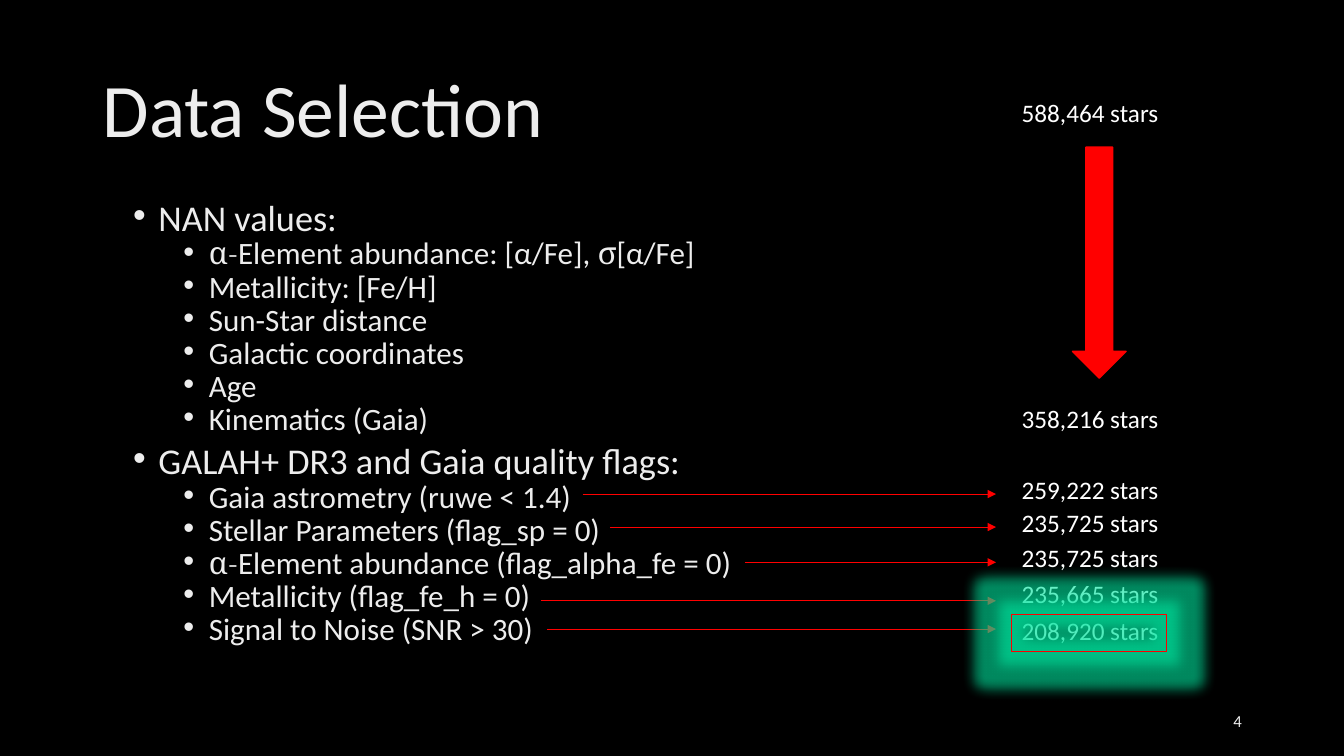
"""Build the Data Selection slide with its star counts after each cut."""
from lxml.etree import SubElement
from pptx import Presentation
from pptx.dml.color import RGBColor
from pptx.enum.shapes import MSO_CONNECTOR, MSO_SHAPE
from pptx.enum.text import MSO_ANCHOR, MSO_AUTO_SIZE, PP_ALIGN
from pptx.oxml.ns import qn
from pptx.util import Cm, Pt

BLACK = RGBColor(0x00, 0x00, 0x00)
WHITE = RGBColor(0xFF, 0xFF, 0xFF)
PALE = RGBColor(0xED, 0xED, 0xED)
RED = RGBColor(0xFF, 0x00, 0x00)
GREEN = RGBColor(0x00, 0xE6, 0xA0)


def write(para, text, size=18, color=WHITE, font="Calibri", align=PP_ALIGN.LEFT):
    run = para.add_run()
    run.text = text
    run.font.size = Pt(size)
    run.font.name = font
    run.font.color.rgb = color
    para.alignment = align


def place(shape, left, top, width, height):
    shape.left, shape.top = Cm(left), Cm(top)
    shape.width, shape.height = Cm(width), Cm(height)


deck = Presentation()
deck.slide_width, deck.slide_height = Cm(33.87), Cm(19.05)
slide = deck.slides.add_slide(deck.slide_layouts[1])
slide.background.fill.solid()
slide.background.fill.fore_color.rgb = BLACK
shapes = slide.shapes

title = shapes.title
place(title, 2.33, 1.01, 29.21, 3.68)
frame = title.text_frame
frame.vertical_anchor = MSO_ANCHOR.MIDDLE
frame.auto_size = MSO_AUTO_SIZE.NONE
frame.paragraphs[0].line_spacing = 0.9
write(frame.paragraphs[0], "Data Selection", size=54, color=PALE)

items = [
    (0, ["NAN values:"]),
    (1, ["α-", "Element abundance: [α/Fe], ", "σ", "[α/Fe]"]),
    (1, ["Metallicity: [Fe/H]"]),
    (1, ["Sun-Star distance"]),
    (1, ["Galactic coordinates"]),
    (1, ["Age"]),
    (1, ["Kinematics (Gaia)"]),
    (0, ["GALAH+ DR3 and Gaia quality flags:"]),
    (1, ["Gaia astrometry (ruwe < 1.4)"]),
    (1, ["Stellar Parameters (flag_sp = 0)"]),
    (1, ["α-", "Element abundance (flag_alpha_fe = 0)"]),
    (1, ["Metallicity (flag_fe_h = 0)"]),
    (1, ["Signal to Noise (SNR > 30)"]),
]
body = slide.placeholders[1]
place(body, 3.1, 5.08, 18.75, 12.09)
frame = body.text_frame
frame.auto_size = MSO_AUTO_SIZE.NONE
frame.vertical_anchor = MSO_ANCHOR.TOP
for i, (level, parts) in enumerate(items):
    para = frame.add_paragraph() if i else frame.paragraphs[0]
    para.level = level
    para.line_spacing = 0.7
    para.space_before = Pt((10, 5)[level] if i else 0)
    props = para._p.get_or_add_pPr()
    props.set("marL", str(Cm((0.64, 1.91)[level])))
    props.set("indent", str(Cm(-0.64)))
    SubElement(props, qn("a:buFont"), typeface="Arial")
    SubElement(props, qn("a:buChar"), char="•")
    for part in parts:
        font = "Cambria" if part in ("α-", "σ") else "Calibri"
        write(para, part, size=(25.9, 22.2)[level], color=PALE, font=font)

counts = [
    (2.34, "588,464"),
    (10.03, "358,216"),
    (11.84, "259,222"),
    (12.65, "235,725"),
    (13.54, "235,725"),
    (14.45, "235,665"),
    (15.39, "208,920"),
]
for top, count in counts:
    label = shapes.add_textbox(Cm(25.5), Cm(top), Cm(7.04), Cm(1.02))
    label.text_frame.word_wrap = True
    write(label.text_frame.paragraphs[0], f"{count} stars")

for left, y in [(14.68, 12.45), (15.37, 13.28), (18.77, 14.17),
                (13.64, 15.14), (13.79, 15.85)]:
    arrow = shapes.add_connector(
        MSO_CONNECTOR.STRAIGHT, Cm(left), Cm(y), Cm(25.1), Cm(y))
    arrow.line.color.rgb = RED
    arrow.line.width = Pt(0.5)
    SubElement(arrow.line._get_or_add_ln(), qn("a:tailEnd"), type="triangle")
    SubElement(arrow._element.spPr, qn("a:effectLst"))

drop = shapes.add_shape(
    MSO_SHAPE.DOWN_ARROW, Cm(27.03), Cm(3.71), Cm(1.35), Cm(5.82))
drop.shadow.inherit = False
drop.fill.solid()
drop.fill.fore_color.rgb = RED
drop.line.color.rgb = RED
drop.line.width = Pt(1)

number = shapes.add_textbox(Cm(23.93), Cm(17.65), Cm(7.62), Cm(1.02))
number.text_frame.word_wrap = True
number.text_frame.vertical_anchor = MSO_ANCHOR.MIDDLE
write(number.text_frame.paragraphs[0], "4", size=12, color=PALE,
      align=PP_ALIGN.RIGHT)

frame = shapes.add_shape(
    MSO_SHAPE.RECTANGLE, Cm(25.5), Cm(15.49), Cm(3.89), Cm(0.94))
frame.fill.background()
frame.line.color.rgb = RED
frame.line.width = Pt(0.75)
frame.shadow.inherit = False
effect = frame._element.spPr.find(qn("a:effectLst"))
glow = SubElement(effect, qn("a:glow"), rad=str(Pt(18)))
tint = SubElement(glow, qn("a:srgbClr"), val=str(GREEN))
SubElement(tint, qn("a:alpha"), val="60000")

deck.save("out.pptx")
